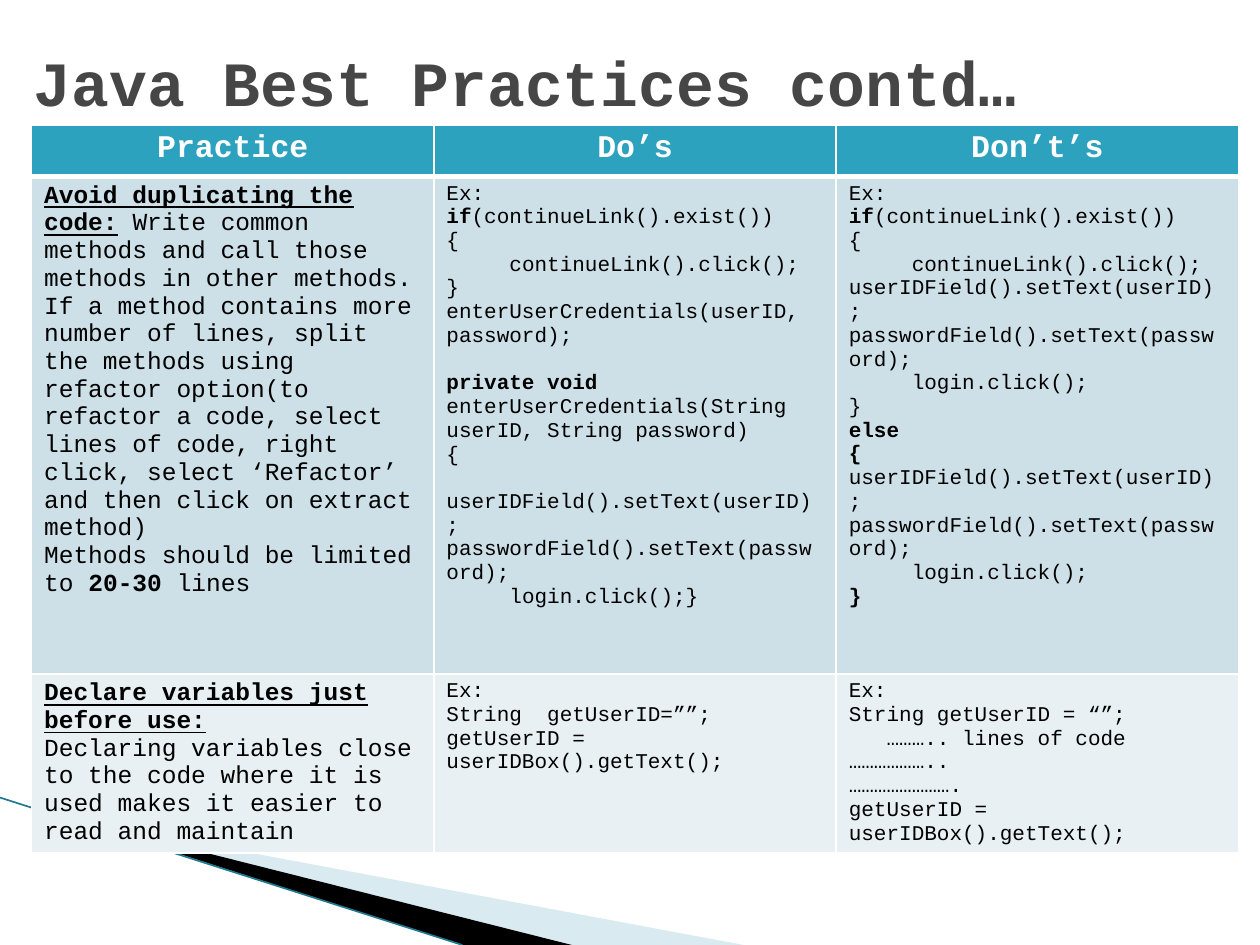
from dataclasses import dataclass

import pptx
import pptx.dml.color
import pptx.enum.text
import pptx.oxml
import pptx.oxml.ns
import pptx.util
from pptx.dml.color import RGBColor
from pptx.util import Inches

FONT = "Courier New"
WHITE = RGBColor(0xFF, 0xFF, 0xFF)
BLACK = RGBColor(0x00, 0x00, 0x00)
TITLE_GRAY = RGBColor(0x46, 0x46, 0x46)
HEADER_TEAL = RGBColor(0x2D, 0xA2, 0xBF)
BAND_DARK = RGBColor(0xCD, 0xE0, 0xE8)
BAND_LIGHT = RGBColor(0xE8, 0xF0, 0xF4)
SWOOSH_BLUE = RGBColor(0xA0, 0xCB, 0xDC)
LINE_TEAL = RGBColor(0x1F, 0x7A, 0x90)


@dataclass(frozen=True)
class Span:
    text: str
    bold: bool = False
    underline: bool = False


@dataclass(frozen=True)
class Line:
    spans: tuple[Span, ...]
    space_before: float = 0


@dataclass(frozen=True)
class Row:
    height: float
    fill: RGBColor
    color: RGBColor
    sizes: tuple[int, int, int]
    cells: tuple[list[Line], list[Line], list[Line]]
    centered: bool = False
    bottom_border: float = 1


def plain(*texts: str) -> list[Line]:
    return [Line((Span(text),)) for text in texts]


def bold(text: str) -> Line:
    return Line((Span(text, bold=True),))


def heading(text: str, rest: str = "") -> Line:
    title = Span(text, bold=True, underline=True)
    return Line((title, Span(rest)) if rest else (title,))


CONDITION = [
    *plain("Ex:"),
    Line((Span("if", bold=True), Span("(continueLink().exist())"))),
    *plain("{", "\tcontinueLink().click();"),
]
LOGIN = plain(
    "userIDField().setText(userID);",
    "passwordField().setText(password);",
    "\tlogin.click();",
)

ROWS = [
    Row(0.41, HEADER_TEAL, WHITE, (18, 18, 18),
        ([bold("Practice")], [bold("Do’s")], [bold("Don’t’s")]),
        centered=True, bottom_border=3),
    Row(3.95, BAND_DARK, BLACK, (14, 12, 12), (
        [
            heading("Avoid duplicating the code:",
                    " Write common methods and call those methods in other methods."),
            *plain("If a method contains more number of lines, split the methods "
                   "using refactor option(to refactor a code, select lines of code, "
                   "right click, select ‘Refactor’ and then click on extract method)"),
            Line((Span("Methods should be limited to "), Span("20-30", bold=True),
                  Span(" lines"))),
        ],
        [
            *CONDITION,
            *plain("}", "enterUserCredentials(userID,", "password);"),
            Line((Span("private void ", bold=True),
                  Span("enterUserCredentials(String userID, String password)")),
                 space_before=13.6),
            *plain("{", "  userIDField().setText(userID);",
                   "passwordField().setText(password);", "\tlogin.click();}"),
        ],
        [*CONDITION, *LOGIN, *plain("}"), bold("else"), bold("{"), *LOGIN, bold("}")],
    )),
    Row(1.42, BAND_LIGHT, BLACK, (14, 12, 12), (
        [
            heading("Declare variables just before use:"),
            *plain("Declaring variables close to the code where it is used makes it "
                   "easier to read and maintain"),
        ],
        plain("Ex:", "String  getUserID=””;", "getUserID = userIDBox().getText();"),
        plain("Ex:", "String getUserID = “”;", "   ……….. lines of code",
              "………………..", "…………………….", "getUserID = userIDBox().getText();"),
    )),
]


def write_lines(frame, lines: list[Line], size: int, color: RGBColor,
                centered: bool = False) -> None:
    frame.word_wrap = True
    for index, line in enumerate(lines):
        paragraph = frame.add_paragraph() if index else frame.paragraphs[0]
        if centered:
            paragraph.alignment = pptx.enum.text.PP_ALIGN.CENTER
        if line.space_before:
            paragraph.space_before = pptx.util.Pt(line.space_before)
        paragraph.font.name = FONT
        paragraph.font.size = pptx.util.Pt(size)
        paragraph.font.color.rgb = color
        for span in line.spans:
            run = paragraph.add_run()
            run.text = span.text
            run.font.bold = span.bold
            run.font.underline = span.underline


def set_borders(cell, bottom: float) -> None:
    properties = cell._tc.get_or_add_tcPr()
    for side, width in (("L", 1), ("R", 1), ("T", 1), ("B", bottom)):
        properties.append(pptx.oxml.parse_xml(
            f'<a:ln{side} {pptx.oxml.ns.nsdecls("a")} w="{pptx.util.Pt(width)}">'
            f'<a:solidFill><a:srgbClr val="{WHITE}"/></a:solidFill></a:ln{side}>'))


def add_swoosh(slide, points: list[tuple[float, float]], color: RGBColor,
               opacity: int = 100) -> None:
    corners = [(Inches(x), Inches(y)) for x, y in points]
    builder = slide.shapes.build_freeform(*corners[0])
    builder.add_line_segments(corners[1:], close=True)
    shape = builder.convert_to_shape()
    shape.shadow.inherit = False
    shape.fill.solid()
    shape.fill.fore_color.rgb = color
    shape.line.fill.background()
    if opacity < 100:
        color_element = shape._element.spPr.find(".//" + pptx.oxml.ns.qn("a:srgbClr"))
        color_element.append(pptx.oxml.parse_xml(
            f'<a:alpha {pptx.oxml.ns.nsdecls("a")} val="{opacity * 1000}"/>'))


def add_edge_line(slide) -> None:
    line = slide.shapes.add_connector(
        pptx.enum.shapes.MSO_CONNECTOR.STRAIGHT,
        Inches(0), Inches(6.33), Inches(3.67), Inches(7.5))
    line.line.color.rgb = LINE_TEAL
    line.line.width = pptx.util.Pt(0.95)
    line._element.spPr.append(pptx.oxml.parse_xml(
        f'<a:effectLst {pptx.oxml.ns.nsdecls("a")}/>'))


def add_practice_table(slide) -> None:
    height = sum(row.height for row in ROWS)
    table = slide.shapes.add_table(
        len(ROWS), 3, Inches(0.25), Inches(0.99), Inches(9.58), Inches(height)).table
    table.first_row = False
    table.horz_banding = False
    for row_index, row in enumerate(ROWS):
        table.rows[row_index].height = Inches(row.height)
        for column, (lines, size) in enumerate(zip(row.cells, row.sizes)):
            cell = table.cell(row_index, column)
            set_borders(cell, row.bottom_border)
            cell.fill.solid()
            cell.fill.fore_color.rgb = row.fill
            write_lines(cell.text_frame, lines, size, row.color, row.centered)


def main() -> None:
    presentation = pptx.Presentation()
    presentation.slide_width = Inches(10)
    presentation.slide_height = Inches(7.5)
    slide = presentation.slides.add_slide(presentation.slide_layouts[6])
    add_swoosh(slide, [(0.55, 6.5), (5.9, 7.5), (4.55, 7.5)], SWOOSH_BLUE, opacity=40)
    add_swoosh(slide, [(0.53, 6.49), (4.54, 7.5), (3.67, 7.5)], BLACK)
    add_edge_line(slide)
    add_practice_table(slide)
    title = slide.shapes.add_textbox(Inches(0.17), Inches(0.17), Inches(9), Inches(0.95))
    title.text_frame.vertical_anchor = pptx.enum.text.MSO_ANCHOR.MIDDLE
    write_lines(title.text_frame, [bold("Java Best Practices contd…")], 36, TITLE_GRAY)
    presentation.save("out.pptx")


if __name__ == "__main__":
    main()
